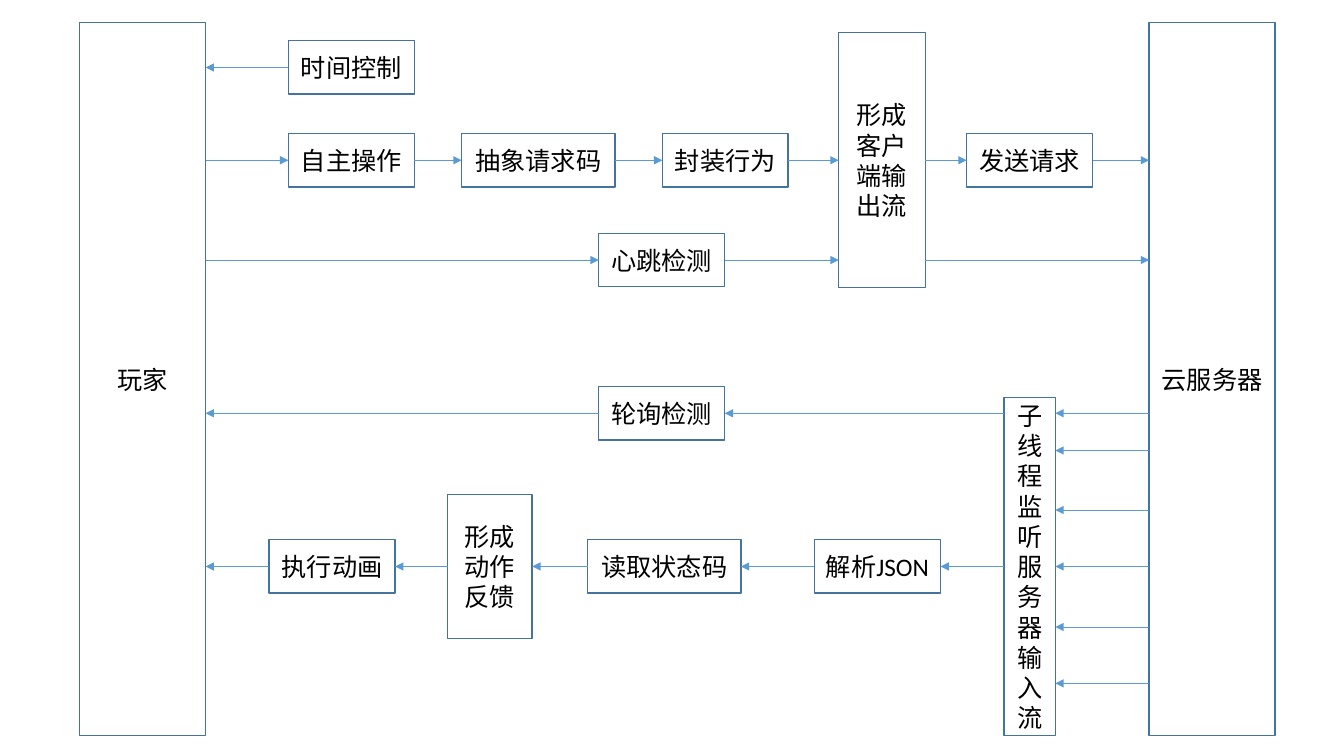
"""Draw the message flow between the player and the cloud server."""
from itertools import pairwise

from lxml import etree
from pptx import Presentation
from pptx import util as u
from pptx.dml.color import RGBColor
from pptx.enum import shapes, text
from pptx.oxml import ns

WHITE = RGBColor(0xFF, 0xFF, 0xFF)
BLACK = RGBColor(0x00, 0x00, 0x00)
OUTLINE = RGBColor(0x43, 0x73, 0x9E)
FLOW = RGBColor(0x5B, 0x9B, 0xD5)

COLUMNS, ROWS = 133.33, 75
STEP_WIDTH, STEP_HEIGHT = 12.5, 5.3
CODE_WIDTH = 15.2


class FlowSlide:
    """Holds the style and the slide, measured in grid columns and rows."""

    def __init__(self, deck):
        """Add a blank slide and work out its grid."""
        self.slide = deck.slides.add_slide(deck.slide_layouts[6])
        self.column = deck.slide_width / COLUMNS
        self.row = deck.slide_height / ROWS
        self.font, self.size = "Calibri", u.Pt(18)
        self.outline_width, self.flow_width = u.Pt(1), u.Pt(0.5)

    def box(self, label, left, middle, width=STEP_WIDTH, height=STEP_HEIGHT):
        """Add a labelled box centred vertically on a row."""
        box = self.slide.shapes.add_shape(
            shapes.MSO_SHAPE.RECTANGLE,
            round(left * self.column), round((middle - height / 2) * self.row),
            round(width * self.column), round(height * self.row))
        box.shadow.inherit = False
        box.fill.solid()
        box.fill.fore_color.rgb = WHITE
        box.line.color.rgb = OUTLINE
        box.line.width = self.outline_width
        frame = box.text_frame
        frame.word_wrap = True
        frame.vertical_anchor = text.MSO_ANCHOR.MIDDLE
        paragraph = frame.paragraphs[0]
        paragraph.alignment = text.PP_ALIGN.CENTER
        run = paragraph.add_run()
        run.text = label
        run.font.name, run.font.size = self.font, self.size
        run.font.color.rgb = BLACK
        return box

    def arrow(self, source, target, row):
        """Add a level arrow between the facing sides of two boxes."""
        if source.left < target.left:
            start, end = source.left + source.width, target.left
        else:
            start, end = source.left, target.left + target.width
        y = round(row * self.row)
        arrow = self.slide.shapes.add_connector(
            shapes.MSO_CONNECTOR.STRAIGHT, start, y, end, y)
        arrow.line.color.rgb = FLOW
        arrow.line.width = self.flow_width
        etree.SubElement(arrow.line._get_or_add_ln(), ns.qn("a:tailEnd"), type="triangle")
        etree.SubElement(arrow._element.spPr, ns.qn("a:effectLst"))

    def chain(self, row, *boxes):
        """Join boxes in order with arrows along one row."""
        for source, target in pairwise(boxes):
            self.arrow(source, target, row)


deck = Presentation()
deck.slide_width, deck.slide_height = u.Inches(13.33), u.Inches(7.5)
flow = FlowSlide(deck)

TIMING, REQUEST, HEARTBEAT, POLLING, FEEDBACK = 6.7, 15.9, 25.8, 41, 56.2
PARTY_MIDDLE, PARTY_HEIGHT = 37.6, 70.7
EXTRA_INPUTS = (44.7, 50.6, 62.2, 67.8)

player = flow.box("玩家", 7.9, PARTY_MIDDLE, height=PARTY_HEIGHT)
server = flow.box("云服务器", 114, PARTY_MIDDLE, height=PARTY_HEIGHT)
time_control = flow.box("时间控制", 28.6, TIMING)

operation = flow.box("自主操作", 28.6, REQUEST)
request_code = flow.box("抽象请求码", 45.8, REQUEST, CODE_WIDTH)
packaging = flow.box("封装行为", 65.7, REQUEST)
output_stream = flow.box("形成客户端输出流", 83.2, REQUEST, 8.6, 25.3)
sending = flow.box("发送请求", 95.9, REQUEST)

heartbeat = flow.box("心跳检测", 59.4, HEARTBEAT)
polling = flow.box("轮询检测", 59.4, POLLING)

listener = flow.box("子线程监听服务器输入流", 99.6, FEEDBACK, 5.1, 33.5)
parsing = flow.box("解析JSON", 80.8, FEEDBACK)
status_code = flow.box("读取状态码", 58.3, FEEDBACK, CODE_WIDTH)
reaction = flow.box("形成动作反馈", 44.4, FEEDBACK, 8.4, 14.3)
animation = flow.box("执行动画", 26.7, FEEDBACK)

flow.chain(TIMING, time_control, player)
flow.chain(REQUEST, player, operation, request_code, packaging,
           output_stream, sending, server)
flow.chain(HEARTBEAT, player, heartbeat, output_stream, server)
flow.chain(POLLING, server, listener, polling, player)
flow.chain(FEEDBACK, server, listener, parsing, status_code,
           reaction, animation, player)
for row in EXTRA_INPUTS:
    flow.arrow(server, listener, row)

deck.save("out.pptx")
